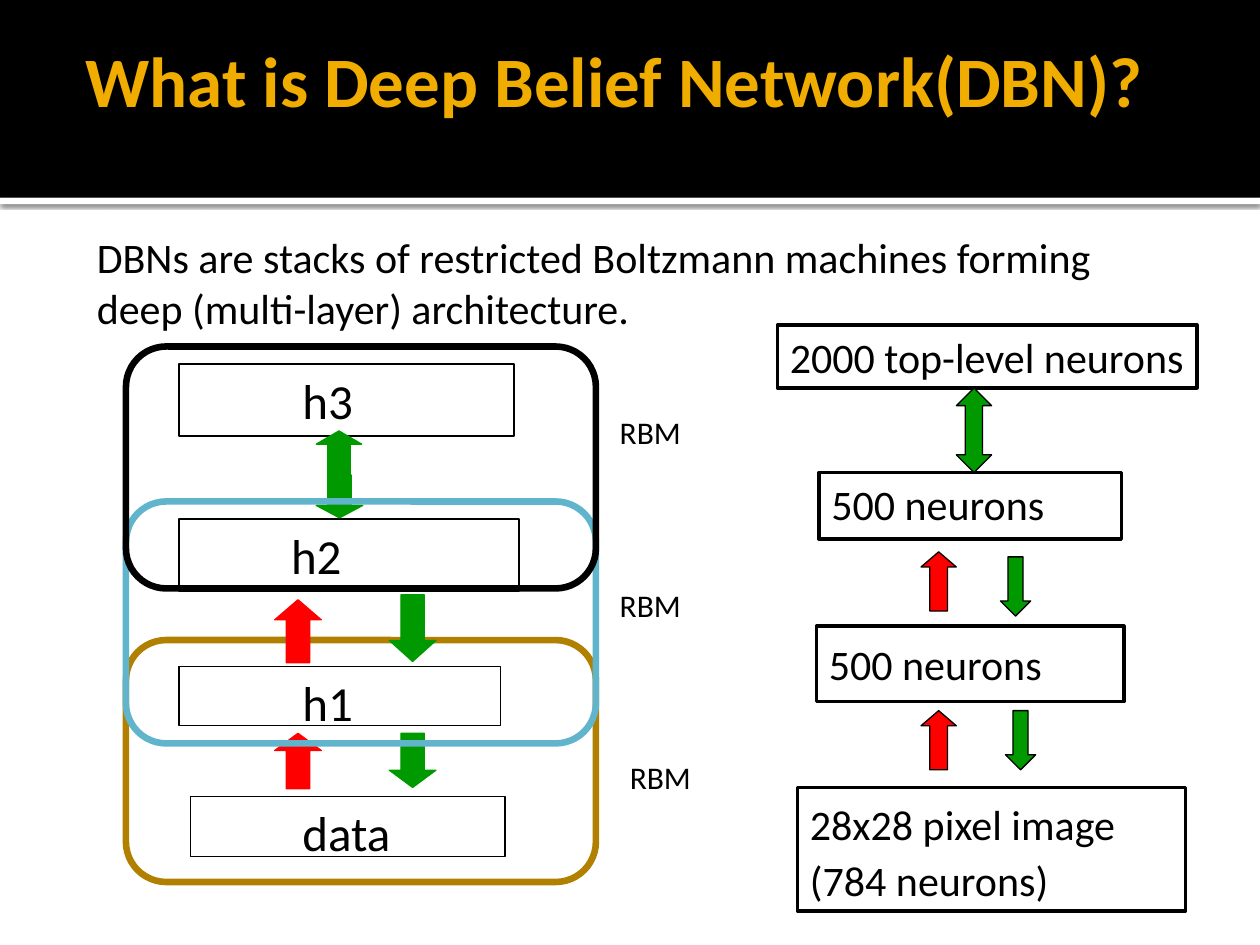
from lxml import etree
from pptx import Presentation
from pptx import util as u
from pptx.dml.color import RGBColor
from pptx.enum import shapes, text
from pptx.oxml.ns import qn

BLACK = RGBColor(0x00, 0x00, 0x00)
WHITE = RGBColor(0xFF, 0xFF, 0xFF)
GOLD = RGBColor(0xF0, 0xAD, 0x00)
BROWN = RGBColor(0xB2, 0x80, 0x00)
BLUE = RGBColor(0x60, 0xB5, 0xCC)
GREEN = RGBColor(0x00, 0x99, 0x00)
RED = RGBColor(0xFF, 0x00, 0x00)
MSO = shapes.MSO_SHAPE


def add_shape(parent, kind, box, fill=None, line=None, width=0.75):
    sp = parent.shapes.add_shape(kind, *[u.Inches(v) for v in box])
    sp.shadow.inherit = False
    if fill is None:
        sp.fill.background()
    else:
        sp.fill.solid()
        sp.fill.fore_color.rgb = fill
    if line is None:
        sp.line.fill.background()
    else:
        sp.line.color.rgb = line
        sp.line.width = u.Pt(width)
    return sp


def set_text(sp, words, size=24, color=BLACK, bold=False, left=0.1, top=0.05,
             right=0.05, anchor=text.MSO_ANCHOR.TOP, spacing=None):
    tf = sp.text_frame
    tf.word_wrap = True
    tf.vertical_anchor = anchor
    tf.margin_left, tf.margin_top = u.Inches(left), u.Inches(top)
    tf.margin_right, tf.margin_bottom = u.Inches(right), u.Inches(0.05)
    p = tf.paragraphs[0]
    p.alignment = text.PP_ALIGN.LEFT
    if spacing:
        p.line_spacing = spacing
    r = p.add_run()
    r.text = words
    r.font.name = "Calibri"
    r.font.size = u.Pt(size)
    r.font.bold = bold
    r.font.color.rgb = color


prs = Presentation()
prs.slide_width, prs.slide_height = u.Inches(10), u.Inches(7.5)
s = prs.slides.add_slide(prs.slide_layouts[6])

# Header band with a shadowed white rule below it
rule = add_shape(s, MSO.RECTANGLE, (0, 1.57, 10, 0.05), WHITE)
effects = rule._element.spPr.find(qn("a:effectLst"))
shadow = etree.SubElement(effects, qn("a:outerShdw"), blurRad=str(u.Pt(2.5)),
                          dist=str(u.Pt(0.8)), dir="5400000", rotWithShape="0")
shade = etree.SubElement(shadow, qn("a:srgbClr"), val="000000")
etree.SubElement(shade, qn("a:alpha"), val="60000")
add_shape(s, MSO.RECTANGLE, (0, 0, 10, 1.57), BLACK)

title = s.shapes.add_textbox(0, 0, u.Inches(9), u.Inches(1.25))
title.left = u.Inches(0.58)
set_text(title, "What is Deep Belief Network(DBN)?", size=40.5, color=GOLD,
         bold=True, anchor=text.MSO_ANCHOR.MIDDLE)

# Left: stack of RBMs, each outline enclosing two layers
stack = s.shapes.add_group_shape()
add_shape(stack, MSO.ROUNDED_RECTANGLE, (1, 5.08, 3.73, 1.92), line=BROWN, width=3.78)

for name, box, indent in [
    ("h3", (1.42, 2.89, 2.66, 0.57), 0.98),
    ("h2", (1.42, 4.12, 2.7, 0.57), 0.89),
    ("h1", (1.42, 5.29, 2.55, 0.47), 0.98),
    ("data", (1.51, 6.32, 2.5, 0.48), 0.89),
]:
    sp = add_shape(stack, MSO.RECTANGLE, box, line=BLACK)
    set_text(sp, name, size=28, left=indent)

for box, color, turn, head in [
    ((3.09, 4.72, 0.37, 0.53), GREEN, 0, 0.45),
    ((3.09, 5.82, 0.37, 0.43), GREEN, 0, 0.37),
    ((2.51, 3.77, 0.37, 0.34), GREEN, 0, 0.29),
    ((2.18, 5.82, 0.37, 0.44), RED, 180, 0.37),
    ((2.18, 4.76, 0.37, 0.5), RED, 180, 0.43),
    ((2.51, 3.42, 0.36, 0.36), GREEN, 180, 0.29),
]:
    sp = add_shape(stack, MSO.DOWN_ARROW, box, color, color)
    sp.adjustments[1] = head
    sp.rotation = turn

for y, color in [(3.98, BLUE), (2.75, BLACK)]:
    add_shape(stack, MSO.ROUNDED_RECTANGLE, (1, y, 3.73, 1.92), line=color, width=3.78)

for x, y in [(4.82, 3.23), (4.82, 4.6), (4.9, 5.97)]:
    label = stack.shapes.add_textbox(*[u.Inches(v) for v in (x, y, 0.76, 0.33)])
    set_text(label, "RBM", size=18)

# Right: example network
network = s.shapes.add_group_shape()
for words, box, top, spacing in [
    ("2000 top-level neurons", (6.17, 2.58, 3.33, 0.5), 0.05, None),
    ("500 neurons", (6.5, 3.75, 2.4, 0.53), 0.05, None),
    ("500 neurons", (6.48, 4.97, 2.44, 0.6), 0.1, None),
    ("28x28 pixel image (784 neurons)", (6.33, 6.25, 3.08, 0.98), 0.05, 1.1),
]:
    sp = add_shape(network, MSO.RECTANGLE, box, line=BLACK, width=2)
    set_text(sp, words, top=top, right=0.1 if spacing else 0.05, spacing=spacing)

for kind, box, color, head in [
    (MSO.UP_DOWN_ARROW, (7.59, 3.08, 0.28, 0.67), GREEN, 0.49),
    (MSO.DOWN_ARROW, (7.94, 4.42, 0.24, 0.47), GREEN, 0.5),
    (MSO.DOWN_ARROW, (7.98, 5.64, 0.24, 0.47), GREEN, 0.5),
    (MSO.UP_ARROW, (7.31, 5.64, 0.28, 0.47), RED, 0.43),
    (MSO.UP_ARROW, (7.31, 4.38, 0.28, 0.47), RED, 0.43),
]:
    sp = add_shape(network, kind, box, color, BLACK)
    sp.adjustments[1] = head

# Definition
body = s.shapes.add_textbox(*[u.Inches(v) for v in (0.67, 1.79, 8.58, 1.21)])
set_text(body, "DBNs are stacks of restricted Boltzmann machines forming "
               "deep (multi-layer) architecture.", right=0.1)

prs.save("out.pptx")
